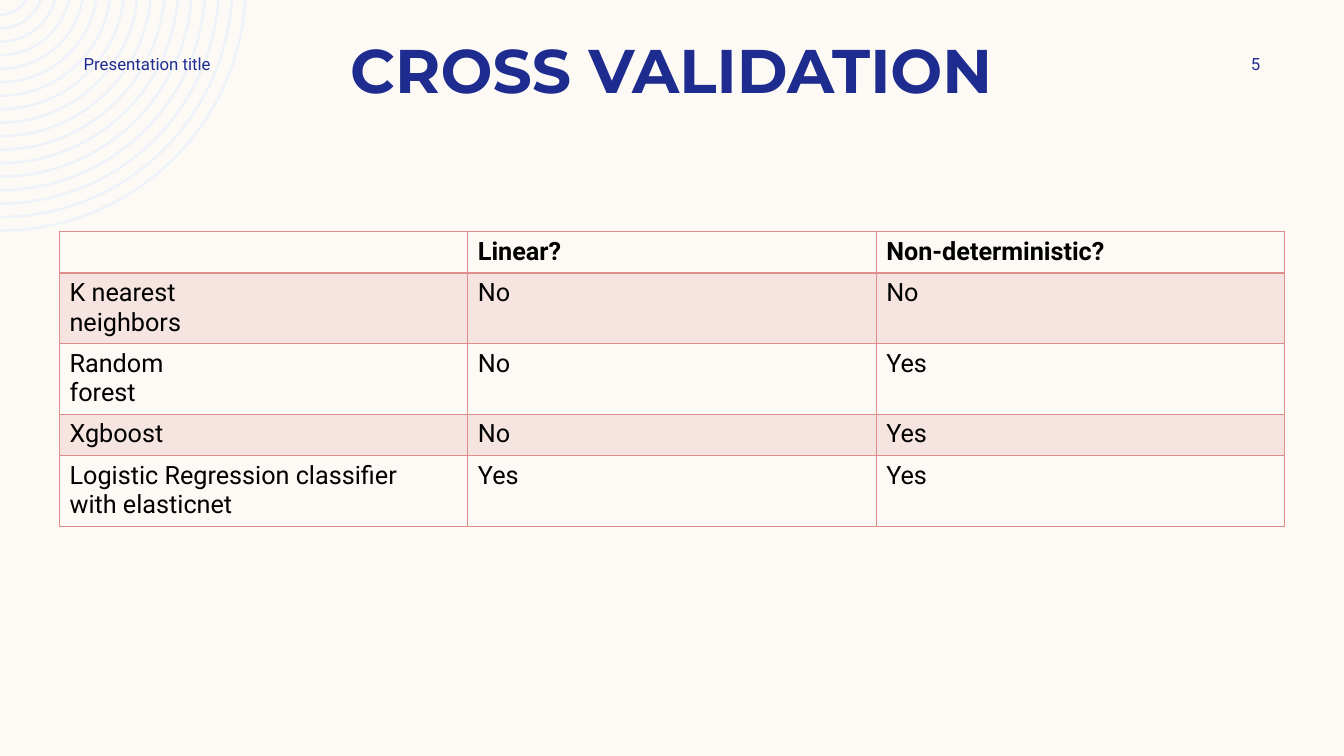
from math import asin, cos, pi, sin, tan

from lxml.etree import SubElement
from pptx import Presentation
from pptx.dml.color import RGBColor
from pptx.enum.text import MSO_ANCHOR, PP_ALIGN
from pptx.oxml import parse_xml
from pptx.oxml.ns import nsdecls, qn
from pptx.util import Inches, Pt

CREAM, NAVY, ROSE, PALE_BLUE, BLACK = "FDFAF6", "1F2C8F", "DE8C8C", "EEF3FA", "000000"
TITLE_FONT = {"name": "Montserrat", "size": Pt(44), "bold": True}
LABEL_FONT = {"name": "Roboto", "size": Pt(12), "bold": False}
HEADER_FONT = {"name": "Roboto", "size": Pt(18), "bold": True}
CELL_FONT = {**HEADER_FONT, "bold": False}

RING_COUNT, SMALLEST_RADIUS, LARGEST_RADIUS = 17, 0.31, 2.45
RING_STEP = (LARGEST_RADIUS - SMALLEST_RADIUS) / (RING_COUNT - 1)
RING_WIDTH, CENTRE_Y = 0.025, -0.15
LINES_PER_RING = 7

ROWS = [
    ["", "Linear?", "Non-deterministic?"],
    ["K nearest\nneighbors", "No", "No"],
    ["Random\nforest", "No", "Yes"],
    ["Xgboost", "No", "Yes"],
    ["Logistic Regression classifier\nwith elasticnet", "Yes", "Yes"],
]


def paint(fill, colour):
    fill.solid()
    fill.fore_color.rgb = RGBColor.from_string(colour)


def write(frame, text, font, colour, align=PP_ALIGN.LEFT):
    frame.text = text
    for para in frame.paragraphs:
        para.alignment = align
        for span in para.runs:
            for name, value in font.items():
                setattr(span.font, name, value)
            span.font.color.rgb = RGBColor.from_string(colour)


def add_text(page, place, text, font, align, anchor, side_insets):
    box = page.shapes.add_textbox(*map(Inches, place))
    frame = box.text_frame
    frame.word_wrap = True
    frame.vertical_anchor = anchor
    frame.margin_left, frame.margin_right = map(Inches, side_insets)
    write(frame, text, font, NAVY, align)


def arc_points(radius):
    start = asin(-CENTRE_Y / radius)
    reach = radius * 4 / 3 * tan((pi / 2 - start) / 4)
    bottom = CENTRE_Y + radius
    left = radius * cos(start)
    points = [(left, 0), (left - reach * sin(start), reach * cos(start)),
              (reach, bottom), (0, bottom)]
    return [(Inches(x), Inches(y)) for x, y in points]


def bend(lines):
    curve = parse_xml(f'<a:cubicBezTo {nsdecls("a")}/>')
    lines[0].addprevious(curve)
    for line in lines:
        curve.append(line[0])
        line.getparent().remove(line)


def add_rings(page):
    builder = page.shapes.build_freeform(0, 0)
    for index in range(RING_COUNT):
        radius = SMALLEST_RADIUS + index * RING_STEP
        outline = arc_points(radius) + arc_points(radius - RING_WIDTH)[::-1]
        builder.move_to(*outline[0])
        builder.add_line_segments(outline[1:], close=True)
    rings = builder.convert_to_shape()
    lines = list(rings._element.iter(qn("a:lnTo")))
    for first in range(0, len(lines), LINES_PER_RING):
        bend(lines[first:first + 3])
        bend(lines[first + 4:first + LINES_PER_RING])
    rings.shadow.inherit = False
    rings.line.fill.background()
    paint(rings.fill, PALE_BLUE)


def set_borders(cell, bottom_width):
    properties = cell._tc.get_or_add_tcPr()
    widths = {"lnL": 1, "lnR": 1, "lnT": 1, "lnB": bottom_width}
    for index, (side, width) in enumerate(widths.items()):
        border = parse_xml(
            f'<a:{side} {nsdecls("a")} w="{Pt(width)}"><a:solidFill>'
            f'<a:srgbClr val="{ROSE}"/></a:solidFill></a:{side}>')
        properties.insert(index, border)


def fill_cell(cell, banded):
    if not banded:
        cell.fill.background()
        return
    paint(cell.fill, ROSE)
    colour = cell._tc.tcPr.find(".//" + qn("a:srgbClr"))
    SubElement(colour, qn("a:alpha"), val="20000")


def add_model_table(page):
    heights = [0.69 if "\n" in row[0] else 0.41 for row in ROWS]
    place = (0.59, 2.3, 12.15, sum(heights))
    table = page.shapes.add_table(len(ROWS), len(ROWS[0]), *map(Inches, place)).table
    table.first_row = table.horz_banding = False
    for row_index, (row, height) in enumerate(zip(ROWS, heights)):
        table.rows[row_index].height = Inches(height)
        header = row_index == 0
        for column_index, text in enumerate(row):
            cell = table.cell(row_index, column_index)
            write(cell.text_frame, text, HEADER_FONT if header else CELL_FONT, BLACK)
            fill_cell(cell, row_index % 2 == 1)
            set_borders(cell, 2 if header else 1)


def main():
    deck = Presentation()
    deck.slide_width, deck.slide_height = Inches(13.33), Inches(7.5)
    page = deck.slides.add_slide(deck.slide_layouts[6])
    paint(page.background.fill, CREAM)
    add_rings(page)
    add_text(page, (0.83, -0.39, 11.66, 1.49), "CROSS VALIDATION", TITLE_FONT,
             PP_ALIGN.CENTER, MSO_ANCHOR.BOTTOM, (0.1, 0.1))
    add_text(page, (0.83, 0.5, 3.5, 0.27), "Presentation title", LABEL_FONT,
             PP_ALIGN.LEFT, MSO_ANCHOR.MIDDLE, (0, 0))
    add_text(page, (11.42, 0.5, 1.08, 0.27), "5", LABEL_FONT,
             PP_ALIGN.RIGHT, MSO_ANCHOR.MIDDLE, (0.1, 0))
    add_model_table(page)
    deck.save("out.pptx")


if __name__ == "__main__":
    main()
